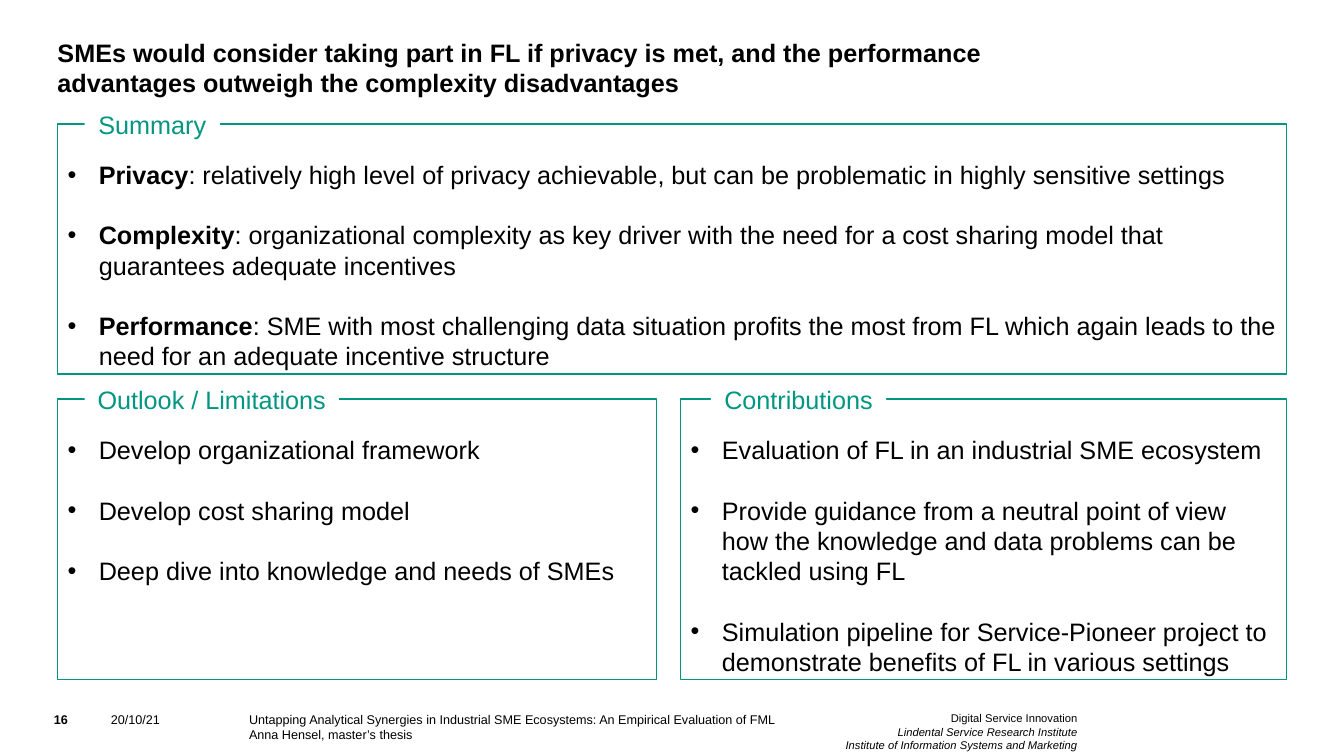
from lxml import etree
from pptx import Presentation
from pptx.dml.color import RGBColor
from pptx.enum import shapes, text
from pptx.oxml.ns import qn
from pptx.util import Inches, Pt

BLACK = RGBColor(0x00, 0x00, 0x00)
WHITE = RGBColor(0xFF, 0xFF, 0xFF)
GREEN = RGBColor(0x00, 0x96, 0x82)
FONT = "Arial"
LINE_SPACING = 1.0
LINE_HEIGHT = 0.3  # inches, one line of body text
INDENT = 0.31
LEFT, RIGHT = 0.57, 12.76
LABEL_HEIGHT = 0.31


def place(shape, left, top, width, height):
    shape.left, shape.top = Inches(left), Inches(top)
    shape.width, shape.height = Inches(width), Inches(height)


def set_frame(frame, inset=0.0, top_inset=0.0, anchor=text.MSO_ANCHOR.TOP):
    frame.word_wrap = True
    frame.auto_size = text.MSO_AUTO_SIZE.NONE
    frame.vertical_anchor = anchor
    frame.margin_left = frame.margin_right = Inches(inset)
    frame.margin_top, frame.margin_bottom = Inches(top_inset), 0


def write(paragraph, content, size=18, bold=False, italic=False, color=BLACK,
          align=text.PP_ALIGN.LEFT, before=0):
    """Add one formatted run to a paragraph."""
    paragraph.alignment = align
    paragraph.line_spacing = LINE_SPACING
    paragraph.space_before = Pt(before)
    run = paragraph.add_run()
    run.text = content
    font = run.font
    font.name, font.size, font.bold, font.italic = FONT, Pt(size), bold, italic
    font.color.rgb = color


def add_bullet(paragraph):
    properties = paragraph._p.get_or_add_pPr()
    properties.set("marL", str(Inches(INDENT)))
    properties.set("indent", str(-Inches(INDENT)))
    etree.SubElement(properties, qn("a:buFont")).set("typeface", FONT)
    etree.SubElement(properties, qn("a:buChar")).set("char", "•")


def build_title(title, content):
    place(title, LEFT, 0.36, 10.08, 0.61)
    set_frame(title.text_frame, anchor=text.MSO_ANCHOR.BOTTOM)
    write(title.text_frame.paragraphs[0], content, bold=True)


def build_panel(slide, body, box, label, label_offset, label_width, items):
    """Framed bullet list with a heading that interrupts its top border."""
    left, top, width, height = box
    place(body, left, top, width, height)
    body.fill.solid()
    body.fill.fore_color.rgb = WHITE
    body.line.color.rgb = GREEN
    body.line.width = Pt(1)

    # Bullets, one line apart
    frame = body.text_frame
    set_frame(frame, inset=0.1, top_inset=0.05 + LINE_HEIGHT)
    for number, (keyword, content) in enumerate(items):
        paragraph = frame.add_paragraph() if number else frame.paragraphs[0]
        gap = LINE_HEIGHT * 72 if number else 0
        if keyword:
            write(paragraph, keyword, bold=True, before=gap)
        write(paragraph, content, before=gap)
        add_bullet(paragraph)

    # Heading on the border
    heading = slide.shapes.add_shape(
        shapes.MSO_SHAPE.RECTANGLE, Inches(left + label_offset),
        Inches(top - LABEL_HEIGHT / 2), Inches(label_width), Inches(LABEL_HEIGHT))
    heading.shadow.inherit = False
    heading.fill.solid()
    heading.fill.fore_color.rgb = WHITE
    heading.line.fill.background()
    set_frame(heading.text_frame, anchor=text.MSO_ANCHOR.MIDDLE)
    write(heading.text_frame.paragraphs[0], label, color=GREEN,
          align=text.PP_ALIGN.CENTER)


def build_footer(slide, top):
    left_align, center, right = (
        text.PP_ALIGN.LEFT, text.PP_ALIGN.CENTER, text.PP_ALIGN.RIGHT)
    # left, width, size, alignment, lines of (text, bold, italic)
    blocks = [
        (0.37, 0.47, 9, center, [("16", True, False)]),
        (1.1, 1.26, 9, left_align, [("20/10/21", False, False)]),
        (2.47, 5.84, 9, left_align, [
            ("Untapping Analytical Synergies in Industrial SME Ecosystems: "
             "An Empirical Evaluation of FML", False, False),
            ("Anna Hensel, master’s thesis", False, False)]),
        (8.31, 2.38, 8, right, [
            ("Digital Service Innovation", False, False),
            ("Lindental Service Research Institute", False, True),
            ("Institute of Information Systems and Marketing", False, True)]),
    ]
    for left, width, size, align, lines in blocks:
        box = slide.shapes.add_textbox(
            Inches(left), Inches(top), Inches(width), Inches(0.39))
        set_frame(box.text_frame)
        for number, (content, bold, italic) in enumerate(lines):
            paragraph = (box.text_frame.add_paragraph() if number
                         else box.text_frame.paragraphs[0])
            write(paragraph, content, size=size, bold=bold, italic=italic, align=align)


def build_conclusion_slide(presentation):
    slide = presentation.slides.add_slide(presentation.slide_layouts[4])
    title, summary, outlook, spare, contributions = slide.placeholders
    spare.element.getparent().remove(spare.element)

    build_title(title, "SMEs would consider taking part in FL if privacy is met, and "
                       "the performance advantages outweigh the complexity disadvantages")
    build_panel(slide, summary, (LEFT, 1.23, RIGHT - LEFT, 2.48), "Summary", 0.27, 1.34, [
        ("Privacy", ": relatively high level of privacy achievable, but can be "
                    "problematic in highly sensitive settings"),
        ("Complexity", ": organizational complexity as key driver with the need for a "
                       "cost sharing model that guarantees adequate incentives"),
        ("Performance", ": SME with most challenging data situation profits the most from "
                        "FL which again leads to the need for an adequate incentive "
                        "structure"),
    ])
    build_panel(slide, outlook, (LEFT, 3.96, 5.94, 2.78),
                "Outlook / Limitations", 0.27, 2.52, [
        ("", "Develop organizational framework"),
        ("", "Develop cost sharing model"),
        ("", "Deep dive into knowledge and needs of SMEs"),
    ])
    build_panel(slide, contributions, (6.75, 3.96, RIGHT - 6.75, 2.78),
                "Contributions", 0.3, 1.74, [
        ("", "Evaluation of FL in an industrial SME ecosystem"),
        ("", "Provide guidance from a neutral point of view how the knowledge and "
             "data problems can be tackled using FL"),
        ("", "Simulation pipeline for Service-Pioneer project to demonstrate "
             "benefits of FL in various settings"),
    ])
    build_footer(slide, 7.06)


def main():
    presentation = Presentation()
    presentation.slide_width = Inches(13.33)
    presentation.slide_height = Inches(7.5)
    build_conclusion_slide(presentation)
    presentation.save("out.pptx")


if __name__ == "__main__":
    main()
